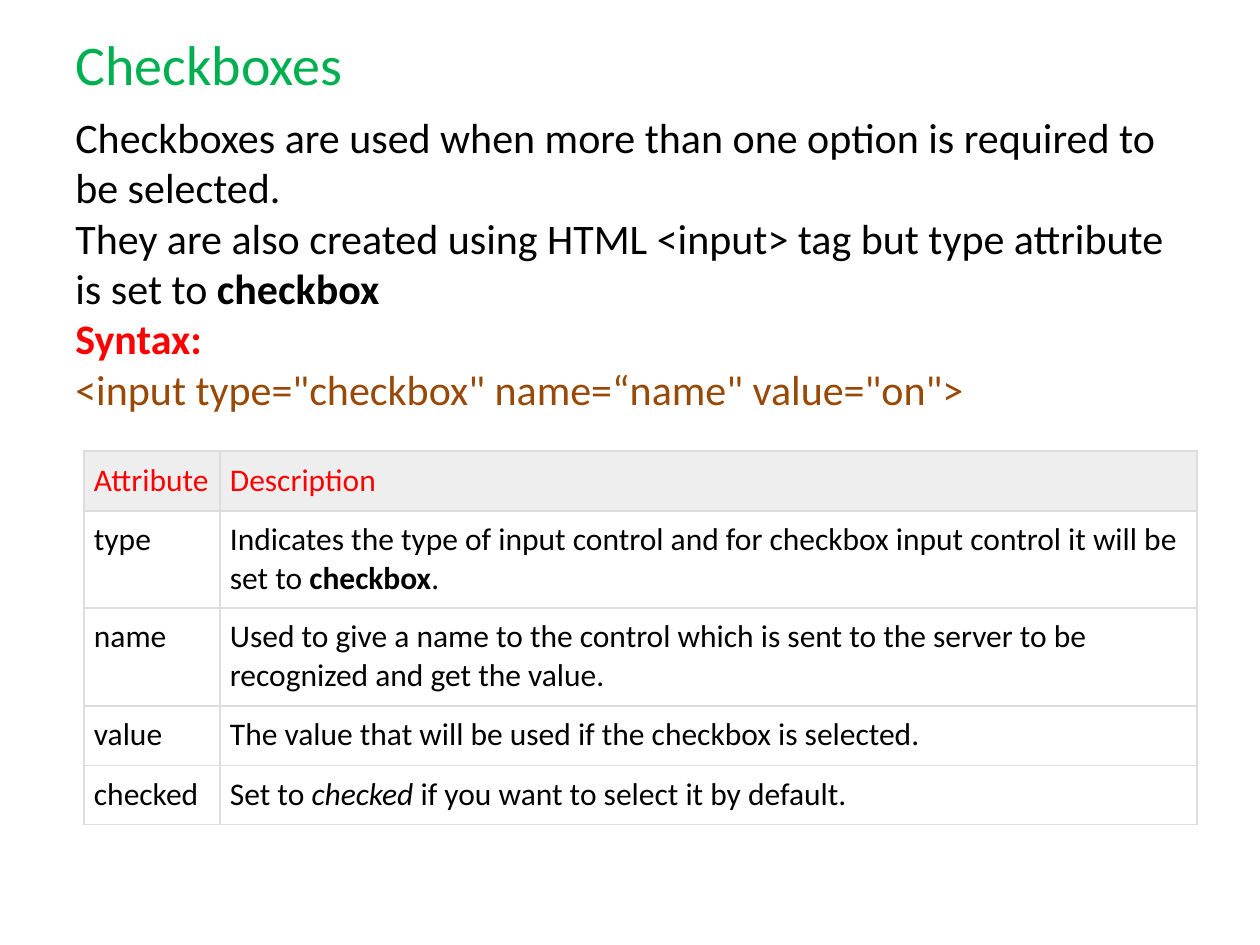
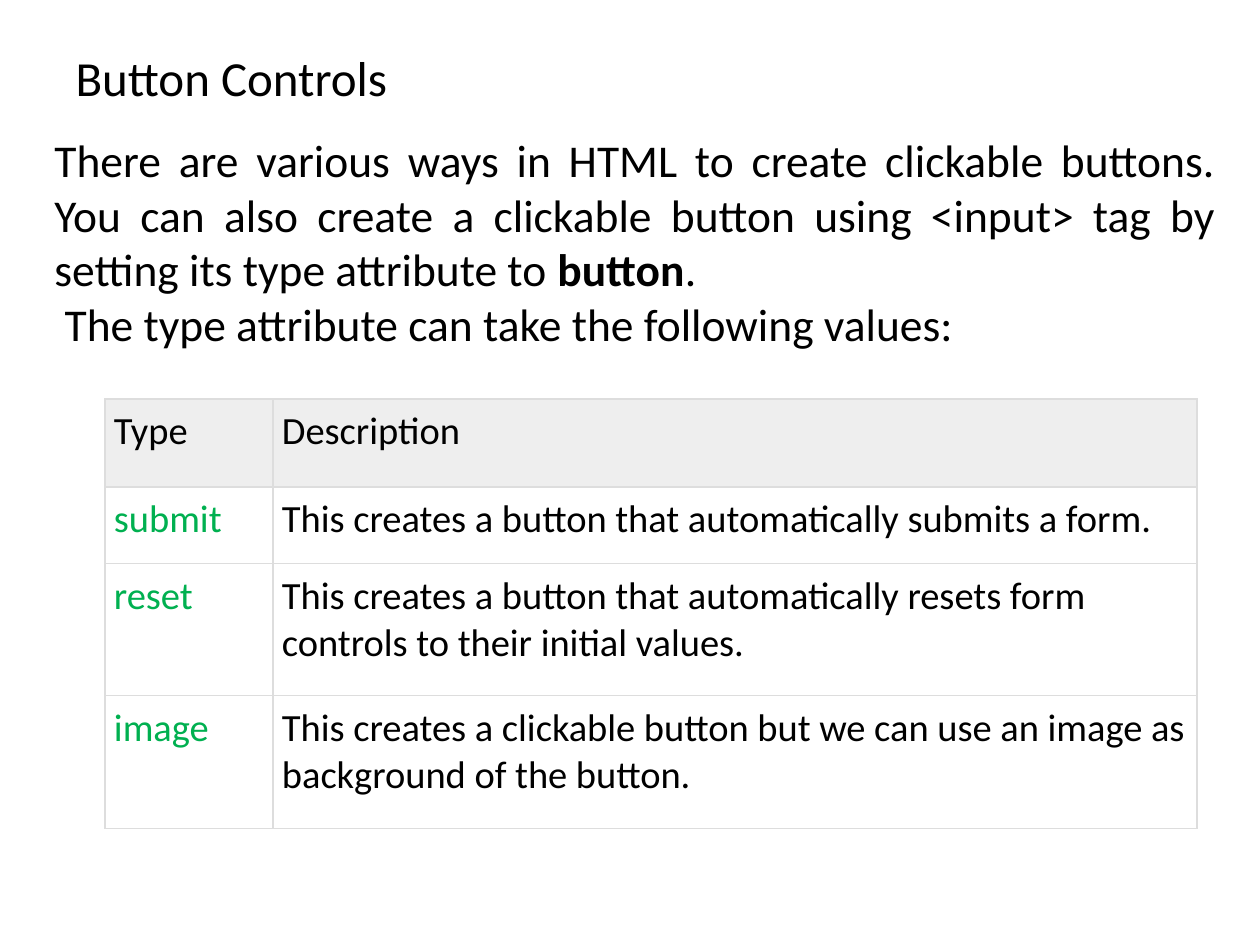
from lxml import etree
from pptx import Presentation, util as u
from pptx.dml.color import RGBColor
from pptx.enum import text as t
from pptx.oxml.ns import qn

FONT = "Calibri"
BLACK, GREEN, RED, BROWN = "000000", "00B050", "FF0000", "984807"
WHITE, HEAD_FILL, BORDER = "FFFFFF", "EEEEEE", "DDDDDD"
BOLD, ITALIC = {"bold": True}, {"italic": True}

SLIDES = [
    {
        "title": {"text": "Checkboxes", "box": (63, 21, 1134, 84), "size": 32, "color": GREEN},
        "body": {
            "box": (63, 105, 1134, 740), "size": 24, "leading": 28.8, "align": "LEFT",
            "paragraphs": [
                ["Checkboxes are used when more than one option is required to be selected."],
                ["They are also created using HTML <input> tag but type attribute is set to ",
                 ("checkbox", BOLD)],
                [("Syntax:", {"bold": True, "color": RED})],
                [("<input type=\"checkbox\" name=“name\" value=\"on\">", {"color": BROWN})],
            ],
        },
        "table": {
            "at": (84, 451), "cols": (136, 977), "rows": (60, 97, 98, 60, 59),
            "inset": 10, "size": 18, "head_color": RED, "key_color": BLACK,
            "cells": [
                (["Attribute"], ["Description"]),
                (["type"], ["Indicates the type of input control and for checkbox input control "
                            "it will be set to ", ("checkbox", BOLD), "."]),
                (["name"], ["Used to give a name to the control which is sent to the server "
                            "to be recognized and get the value."]),
                (["value"], ["The value that will be used if the checkbox is selected."]),
                (["checked"], ["Set to ", ("checked", ITALIC),
                               " if you want to select it by default."]),
            ],
        },
    },
    {
        "title": {"text": "Button Controls", "box": (63, 38, 1134, 78), "size": 28, "color": BLACK},
        "body": {
            "box": (42, 126, 1187, 735), "size": 26, "leading": 31.2, "align": "JUSTIFY",
            "paragraphs": [
                ["There are various ways in HTML to create clickable buttons. You can also create "
                 "a clickable button using <input> tag by setting its type attribute to ",
                 ("button", BOLD), "."],
                [" The type attribute can take the following values:"],
            ],
        },
        "table": {
            "at": (105, 399), "cols": (168, 924), "rows": (88, 77, 132, 133),
            "inset": 9, "size": 22, "head_color": BLACK, "key_color": GREEN,
            "cells": [
                (["Type"], ["Description"]),
                (["submit"], ["This creates a button that automatically submits a form."]),
                (["reset"], ["This creates a button that automatically resets form controls "
                             "to their initial values."]),
                (["image"], ["This creates a clickable button but we can use an image as "
                             "background of the button."]),
            ],
        },
    },
]


def px(n):
    return u.Emu(round(n * 914400 / 126))


def rgb(value):
    return RGBColor.from_string(value)


def write(tf, paragraphs, size, color=BLACK, align="LEFT", leading=None):
    for i, runs in enumerate(paragraphs):
        p = tf.add_paragraph() if i else tf.paragraphs[0]
        p.alignment = getattr(t.PP_ALIGN, align)
        p.space_before = p.space_after = u.Pt(0)
        if leading:
            p.line_spacing = u.Pt(leading)
        for run in runs:
            content, fmt = (run, {}) if isinstance(run, str) else run
            r = p.add_run()
            r.text = content
            r.font.name, r.font.size = FONT, u.Pt(size)
            r.font.bold = fmt.get("bold", False)
            r.font.italic = fmt.get("italic", False)
            r.font.color.rgb = rgb(fmt.get("color", color))


def set_borders(cell):
    tc_pr = cell._tc.get_or_add_tcPr()
    for side in ("lnL", "lnR", "lnT", "lnB"):
        ln = etree.SubElement(tc_pr, qn("a:" + side), w=str(u.Pt(0.75)))
        fill = etree.SubElement(ln, qn("a:solidFill"))
        etree.SubElement(fill, qn("a:srgbClr"), val=BORDER)


def add_title(s, spec):
    sp = s.shapes.title
    sp.left, sp.top, sp.width, sp.height = map(px, spec["box"])
    sp.text_frame.vertical_anchor = t.MSO_ANCHOR.MIDDLE
    sp.text_frame.auto_size = t.MSO_AUTO_SIZE.NONE
    write(sp.text_frame, [[spec["text"]]], spec["size"], spec["color"])


def add_body(s, spec):
    tf = s.shapes.add_textbox(*map(px, spec["box"])).text_frame
    tf.word_wrap = True
    write(tf, spec["paragraphs"], spec["size"], align=spec["align"], leading=spec["leading"])


def add_table(s, spec):
    cols, rows = spec["cols"], spec["rows"]
    table = s.shapes.add_table(len(rows), len(cols), *map(px, (*spec["at"], sum(cols), sum(rows)))).table
    table.first_row = table.horz_banding = False
    for column, width in zip(table.columns, cols):
        column.width = px(width)
    for i, (row, height) in enumerate(zip(table.rows, rows)):
        row.height = px(height)
        for j, cell in enumerate(row.cells):
            inset = px(spec["inset"])
            cell.margin_left = cell.margin_right = cell.margin_top = cell.margin_bottom = inset
            set_borders(cell)
            cell.fill.solid()
            cell.fill.fore_color.rgb = rgb(WHITE if i else HEAD_FILL)
            color = spec["head_color"] if i == 0 else spec["key_color"] if j == 0 else BLACK
            write(cell.text_frame, [spec["cells"][i][j]], spec["size"], color)


def main():
    prs = Presentation()
    prs.slide_width, prs.slide_height = px(1260), px(945)
    for content in SLIDES:
        s = prs.slides.add_slide(prs.slide_layouts[5])
        add_title(s, content["title"])
        add_body(s, content["body"])
        add_table(s, content["table"])
    prs.save("out.pptx")


if __name__ == "__main__":
    main()
